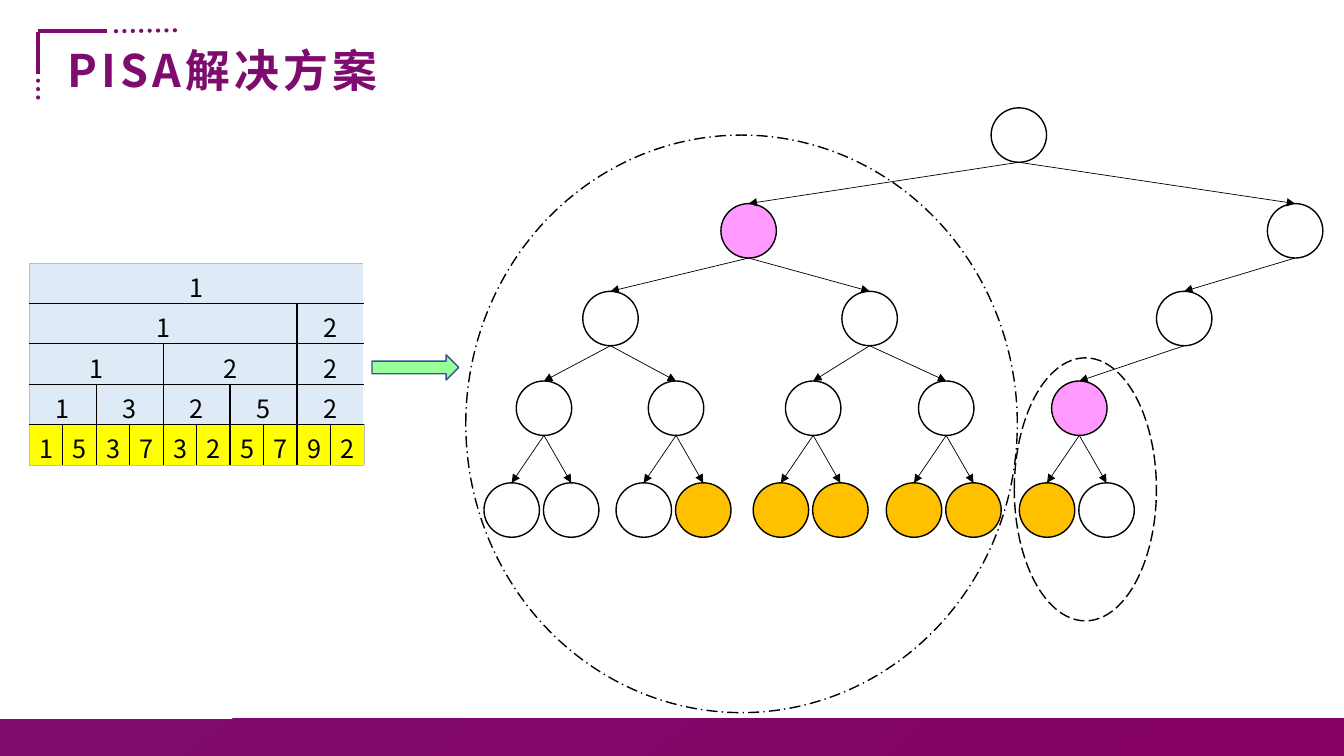
import lxml.etree
import pptx
import pptx.dml.color
import pptx.enum.dml
import pptx.enum.shapes
import pptx.enum.text
import pptx.oxml.ns
import pptx.util

RGB = pptx.dml.color.RGBColor
DASH = pptx.enum.dml.MSO_LINE
SHAPE = pptx.enum.shapes.MSO_SHAPE
qn = pptx.oxml.ns.qn

PURPLE = RGB(0x7E, 0x0C, 0x6E)
DEEP_PURPLE = RGB(0x85, 0x00, 0x63)
BLACK = RGB(0, 0, 0)
WHITE = RGB(0xFF, 0xFF, 0xFF)
PINK = RGB(0xFF, 0x99, 0xFF)
ORANGE = RGB(0xFF, 0xC0, 0x00)
YELLOW = RGB(0xFF, 0xFF, 0x00)
PALE_BLUE = RGB(0xDE, 0xEB, 0xF7)
GREEN = RGB(0x99, 0xFF, 0x99)
ARROW_BLUE = RGB(0x32, 0x54, 0x91)
GREY = RGB(0xBF, 0xBF, 0xBF)
FONT = "Noto Sans CJK SC"
PX = 9144  # EMU, 100 px to the inch

TITLE = "PISA解决方案"
CORNER_LINES = [  # x1, y1, x2, y2, dash
    (38, 31, 106, 31, None),
    (115, 31, 175, 30, DASH.ROUND_DOT),
    (38, 32, 38, 73, None),
    (38, 80, 38, 105, DASH.ROUND_DOT),
]
GROUPS = [  # x, y, width, height, dash
    (1006, 355, 141, 261, DASH.LONG_DASH),
    (462, 134, 547, 573, DASH.LONG_DASH_DOT),
]
# Each row holds (text, columns spanned)
TABLE_ROWS = [
    [("1", 10)],
    [("1", 8), ("2", 2)],
    [("1", 4), ("2", 4), ("2", 2)],
    [("1", 2), ("3", 2), ("2", 2), ("5", 2), ("2", 2)],
    [(digit, 1) for digit in "1537325792"],
]
COLUMNS = 10
COLUMN_W, ROW_H = 33.2, 40

NODE_W, NODE_H = 55, 54
LEVEL_TOPS = [107, 202, 289, 378, 479]
LEAF_OFFSETS = (-32, 27)


def pair(x, fill, *leaf_fills):
    """A node with two leaves, as (left, fill, children)."""
    return x, fill, [(x + dx, f, []) for dx, f in zip(LEAF_OFFSETS, leaf_fills)]


TREE = (983, WHITE, [
    (715, PINK, [
        (578, WHITE, [pair(512, WHITE, WHITE, WHITE), pair(643, WHITE, WHITE, ORANGE)]),
        (835, WHITE, [pair(779, WHITE, ORANGE, ORANGE), pair(911, WHITE, ORANGE, ORANGE)]),
    ]),
    (1257, WHITE, [
        (1147, WHITE, [pair(1043, PINK, ORANGE, WHITE)]),
    ]),
])


def emu(*lengths):
    return [round(length * PX) for length in lengths]


def add_shape(kind, box, fill, line=None, dash=None):
    sp = s.shapes.add_shape(kind, *emu(*box))
    sp.shadow.inherit = False
    if fill is not None:
        sp.fill.solid()
        sp.fill.fore_color.rgb = fill
    if line is None:
        sp.line.fill.background()
    else:
        sp.line.color.rgb = line
        sp.line.width = pptx.util.Pt(1)
        if dash:
            sp.line.dash_style = dash
    return sp


def add_line(ends, color, width):
    line = s.shapes.add_connector(pptx.enum.shapes.MSO_CONNECTOR.STRAIGHT, *emu(*ends))
    line.line.color.rgb = color
    line.line.width = pptx.util.Pt(width)
    lxml.etree.SubElement(line._element.spPr, qn("a:effectLst"))
    return line


def add_tree(node, level=0):
    """Draw a node and all below it; return its shape."""
    x, fill, children = node
    top = LEVEL_TOPS[level]
    sp = add_shape(SHAPE.OVAL, (x, top, NODE_W, NODE_H), fill, BLACK)
    for child in children:
        child_sp = add_tree(child, level + 1)
        ends = (x + NODE_W / 2, top + NODE_H, child[0] + NODE_W / 2, LEVEL_TOPS[level + 1])
        arrow = add_line(ends, BLACK, 0.5)
        arrow.end_connect(child_sp, 0)
        lxml.etree.SubElement(arrow.line._get_or_add_ln(), qn("a:tailEnd"), type="triangle")
    return sp


def set_border(cell, side, outer):
    width, color = (6350, GREY) if outer else (12700, BLACK)
    ln = lxml.etree.SubElement(cell._tc.get_or_add_tcPr(), qn("a:ln" + side), w=str(width))
    fill = lxml.etree.SubElement(ln, qn("a:solidFill"))
    lxml.etree.SubElement(fill, qn("a:srgbClr"), val=str(color))


def style_run(r, size, color):
    r.font.name = FONT
    r.font.size = pptx.util.Pt(size)
    r.font.color.rgb = color
    lxml.etree.SubElement(r.font._element, qn("a:ea"), typeface=FONT)


def add_table():
    rows = len(TABLE_ROWS)
    box = emu(29, 261, COLUMN_W * COLUMNS, ROW_H * rows)
    table = s.shapes.add_table(rows, COLUMNS, *box).table
    table.first_row = table.horz_banding = False
    for i, row in enumerate(TABLE_ROWS):
        start = 0
        for text, span in row:
            end = start + span - 1
            for j in range(start, end + 1):
                cell = table.cell(i, j)
                if j == start:
                    set_border(cell, "L", j == 0)
                if j == end:
                    set_border(cell, "R", j == COLUMNS - 1)
                set_border(cell, "T", i == 0)
                set_border(cell, "B", i == rows - 1)
                cell.fill.solid()
                cell.fill.fore_color.rgb = YELLOW if i == rows - 1 else PALE_BLUE
            cell = table.cell(i, start)
            if span > 1:
                cell.merge(table.cell(i, end))
            cell.text_frame.text = text
            p = cell.text_frame.paragraphs[0]
            p.alignment = pptx.enum.text.PP_ALIGN.CENTER
            style_run(p.runs[0], 18, BLACK)
            start += span


def add_title():
    tf = s.shapes.add_textbox(*emu(57, 43, 429, 59)).text_frame
    tf.word_wrap = True
    tf.vertical_anchor = pptx.enum.text.MSO_ANCHOR.MIDDLE
    tf.text = TITLE
    p = tf.paragraphs[0]
    p.line_spacing = 0.9
    r = p.runs[0]
    style_run(r, 32, PURPLE)
    r.font.bold = True
    r.font._element.set("spc", "300")


def add_footer():
    bar = add_shape(SHAPE.RECTANGLE, (0, 713, 1333, 41), None)
    bar.fill.gradient()
    bar.fill.gradient_angle = 310
    for stop, color, position in zip(bar.fill.gradient_stops, (PURPLE, DEEP_PURPLE), (0, 1)):
        stop.color.rgb = color
        stop.position = position


prs = pptx.Presentation()
prs.slide_width, prs.slide_height = emu(1333, 750)
s = prs.slides.add_slide(prs.slide_layouts[6])

add_footer()
for *ends, dash in CORNER_LINES:
    corner = add_line(ends, PURPLE, 3)
    if dash:
        corner.line.dash_style = dash
        corner.line._get_or_add_ln().set("cap", "rnd")
add_title()
for *box, dash in GROUPS:
    add_shape(SHAPE.OVAL, box, WHITE, BLACK, dash)
add_table()
add_tree(TREE)
add_shape(SHAPE.RIGHT_ARROW, (369, 352, 86, 25), GREEN, ARROW_BLUE)

prs.save("out.pptx")
